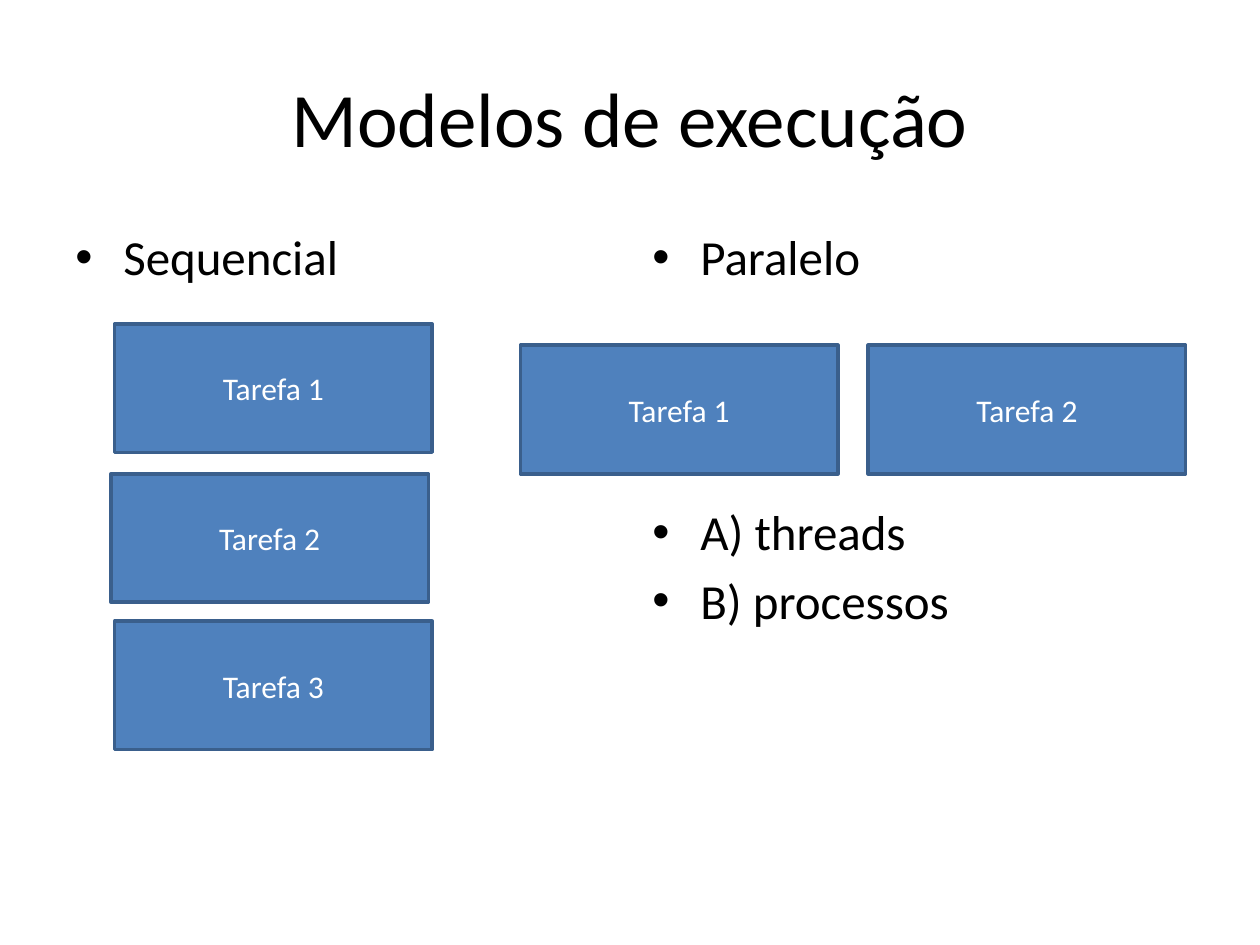
from lxml import etree
from pptx import Presentation
from pptx.dml.color import RGBColor
from pptx.enum.shapes import MSO_SHAPE
from pptx.enum.text import MSO_ANCHOR, PP_ALIGN
from pptx.oxml.ns import qn
from pptx.util import Inches, Pt

BLACK = RGBColor(0x00, 0x00, 0x00)
WHITE = RGBColor(0xFF, 0xFF, 0xFF)
TASK_FILL = RGBColor(0x4F, 0x81, 0xBD)
TASK_LINE = RGBColor(0x3A, 0x5F, 0x8C)
FONT = "Calibri"
TASK_WIDTH, TASK_HEIGHT = 2.52, 1.02
BULLET_SPACE = 5.6
DIAGRAM_SPACE = 123.5  # room for the task row between two bullets


def write(paragraph, text, size, color):
    """Put one formatted run in a paragraph."""
    run = paragraph.add_run()
    run.text = text
    run.font.name = FONT
    run.font.size = Pt(size)
    run.font.color.rgb = color


def add_title(slide, left, top, width, height, text):
    """Place and fill the title placeholder."""
    title = slide.shapes.title
    title.left, title.top = Inches(left), Inches(top)
    title.width, title.height = Inches(width), Inches(height)
    frame = title.text_frame
    frame.word_wrap = True
    frame.vertical_anchor = MSO_ANCHOR.MIDDLE
    paragraph = frame.paragraphs[0]
    paragraph.alignment = PP_ALIGN.CENTER
    write(paragraph, text, 44, BLACK)


def add_bullets(slide, left, top, width, height, items):
    """Add a bulleted list; items are (text, space before in points)."""
    box = slide.shapes.add_textbox(*map(Inches, (left, top, width, height)))
    frame = box.text_frame
    frame.word_wrap = True
    for index, (text, space) in enumerate(items):
        paragraph = frame.add_paragraph() if index else frame.paragraphs[0]
        paragraph.space_before = Pt(space)
        properties = paragraph._p.get_or_add_pPr()
        properties.set("marL", str(Inches(0.38)))
        properties.set("indent", str(Inches(-0.38)))
        etree.SubElement(properties, qn("a:buFont"), typeface="Arial")
        etree.SubElement(properties, qn("a:buChar"), char="•")
        write(paragraph, text, 28, BLACK)


def add_task(slide, left, top, number):
    """Add one numbered task box."""
    task = slide.shapes.add_shape(
        MSO_SHAPE.RECTANGLE,
        *map(Inches, (left, top, TASK_WIDTH, TASK_HEIGHT)))
    task.shadow.inherit = False
    task.fill.solid()
    task.fill.fore_color.rgb = TASK_FILL
    task.line.color.rgb = TASK_LINE
    task.line.width = Pt(2)
    task.text_frame.vertical_anchor = MSO_ANCHOR.MIDDLE
    paragraph = task.text_frame.paragraphs[0]
    paragraph.alignment = PP_ALIGN.CENTER
    write(paragraph, f"Tarefa {number}", 18, WHITE)


def add_model(slide, left, top, width, height, items, task_offsets):
    """Add an execution model: its bullets and its tasks, offset from its box."""
    add_bullets(slide, left, top, width, height, items)
    for number, (dx, dy) in enumerate(task_offsets, start=1):
        add_task(slide, left + dx, top + dy, number)


def main():
    """Build the slide and save it."""
    presentation = Presentation()
    presentation.slide_width = Inches(10)
    presentation.slide_height = Inches(7.5)
    slide = presentation.slides.add_slide(presentation.slide_layouts[5])
    add_title(slide, 0.5, 0.3, 9, 1.25, "Modelos de execução")
    add_model(slide, 0.5, 1.75, 4.42, 4.95,
              [("Sequencial", BULLET_SPACE)],
              [(0.41, 0.82), (0.38, 2.01), (0.41, 3.18)])
    add_model(slide, 5.08, 1.75, 4.42, 4.95,
              [("Paralelo", BULLET_SPACE),
               ("A) threads", DIAGRAM_SPACE),
               ("B) processos", BULLET_SPACE)],
              [(-0.95, 0.99), (1.81, 0.99)])
    presentation.save("out.pptx")


main()
